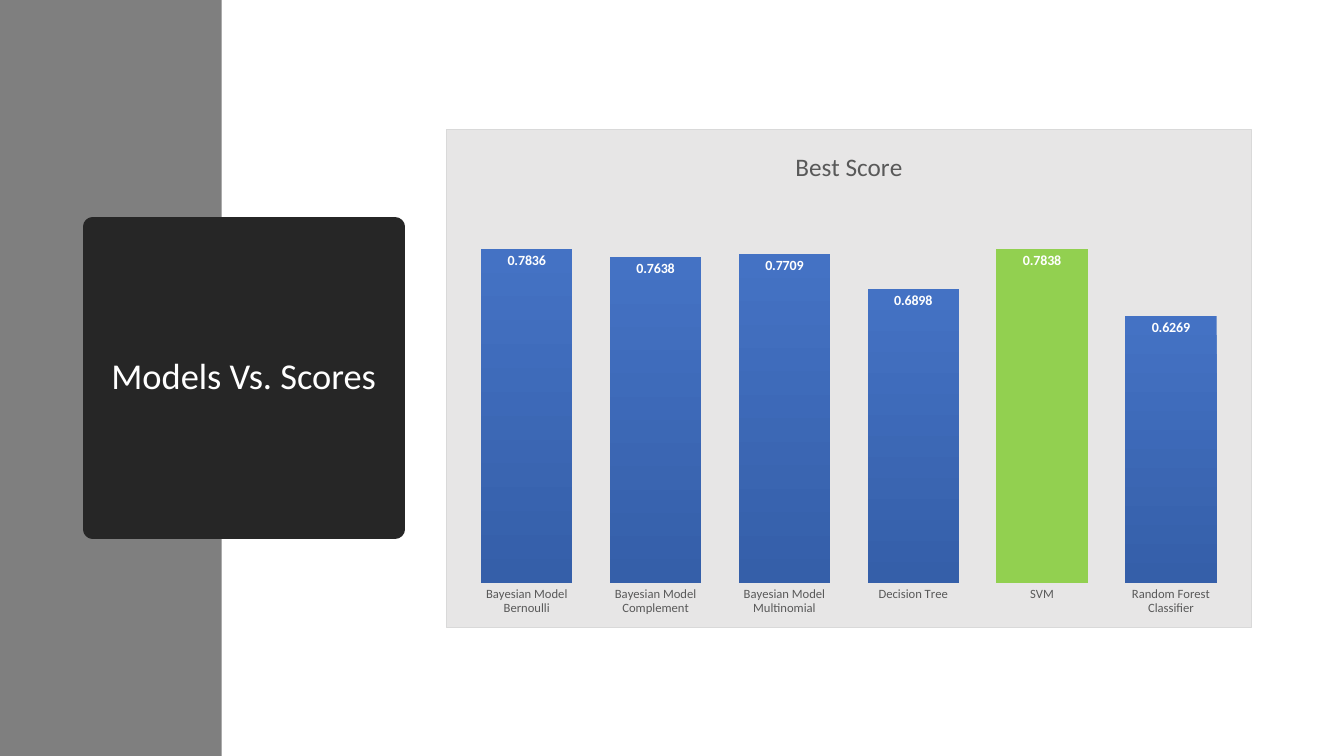
from lxml.etree import SubElement
from pptx import Presentation
from pptx.chart.data import CategoryChartData
from pptx.dml.color import RGBColor
from pptx.enum.chart import XL_CHART_TYPE, XL_LABEL_POSITION, XL_TICK_MARK
from pptx.enum.shapes import MSO_SHAPE
from pptx.enum.text import MSO_ANCHOR, MSO_AUTO_SIZE, PP_ALIGN
from pptx.oxml import parse_xml
from pptx.oxml.ns import nsdecls, qn
from pptx.util import Inches, Pt

WIDTH, HEIGHT = 13.33, 7.5
COLUMN, ROW = WIDTH / 100, HEIGHT / 100

FONT = "Calibri"
WHITE, BLACK = "FFFFFF", "000000"
SIDEBAR_GRAY, TITLE_GRAY, TEXT_GRAY = "7F7F7F", "262626", "595959"
CHART_GRAY, BORDER_GRAY = "E7E6E6", "D9D9D9"
BAR_GRADIENT = ("4472C4", "355FA9")
BEST_GREEN = "92D050"

SCORE_FORMAT = "0.0000"
SCORES = {
    "Bayesian Model\nBernoulli": 0.7836,
    "Bayesian Model\nComplement": 0.7638,
    "Bayesian Model\nMultinomial": 0.7709,
    "Decision Tree": 0.6898,
    "SVM": 0.7838,
    "Random Forest Classifier": 0.6269,
}
MODELS = list(SCORES)
BEST_MODEL = max(SCORES, key=SCORES.get)


def grid(left, top, columns, rows):
    return (Inches(left * COLUMN), Inches(top * ROW),
            Inches(columns * COLUMN), Inches(rows * ROW))


def color(value):
    return RGBColor.from_string(value)


def paint(fill, value):
    fill.solid()
    fill.fore_color.rgb = color(value)


def style_font(font, size, value, bold=False):
    font.name = FONT
    font.size = Pt(size)
    font.bold = bold
    font.color.rgb = color(value)


def write(frame, text, size, value, align=PP_ALIGN.CENTER, spacing=None):
    para = frame.paragraphs[0]
    para.alignment = align
    para.line_spacing = spacing
    span = para.add_run()
    span.text = text
    style_font(span.font, size, value)


def fix_number_format(labels):
    labels.number_format = SCORE_FORMAT
    labels.number_format_is_linked = False


def add_sidebar(page):
    bar = page.shapes.add_shape(MSO_SHAPE.RECTANGLE, *grid(0, 0, 16.5, 100))
    bar.shadow.inherit = False
    paint(bar.fill, SIDEBAR_GRAY)
    bar.line.fill.background()
    page.shapes.title.element.addprevious(bar.element)


def format_title(page, text):
    box = page.shapes.title
    box.left, box.top, box.width, box.height = grid(6.9, 30, 22.5, 40)
    paint(box.fill, TITLE_GRAY)
    box.line.color.rgb = color(TITLE_GRAY)
    box.line.width = Pt(13.75)
    frame = box.text_frame
    frame.word_wrap = True
    frame.auto_size = MSO_AUTO_SIZE.NONE
    frame.vertical_anchor = MSO_ANCHOR.MIDDLE
    write(frame, text, size=26, value=WHITE, spacing=0.9)


def format_axes(chart):
    model_axis = chart.category_axis
    model_axis.major_tick_mark = XL_TICK_MARK.NONE
    model_axis.minor_tick_mark = XL_TICK_MARK.NONE
    model_axis.format.line.fill.background()
    style_font(model_axis.tick_labels.font, 9, TEXT_GRAY)
    score_axis = chart.value_axis
    score_axis.minimum_scale, score_axis.maximum_scale = 0, 0.9
    score_axis.has_major_gridlines = False
    fix_number_format(score_axis.tick_labels)
    score_axis.visible = False


def format_bars(plot):
    plot.gap_width = 41
    plot.vary_by_categories = False
    bars = plot.series[0]
    bars.invert_if_negative = False
    fill = bars.format.fill
    fill.gradient()
    fill.gradient_angle = 270
    for stop, value in zip(fill.gradient_stops, BAR_GRADIENT):
        stop.color.rgb = color(value)
    best_bar = bars.points[MODELS.index(BEST_MODEL)]
    paint(best_bar.format.fill, BEST_GREEN)


def format_labels(labels):
    labels.show_value = True
    labels.position = XL_LABEL_POSITION.INSIDE_END
    fix_number_format(labels)
    style_font(labels.font, 10, WHITE, bold=True)


def format_background(chart, fill, border):
    background = parse_xml(
        f'<c:spPr {nsdecls("c", "a")}>'
        f'<a:solidFill><a:srgbClr val="{fill}"/></a:solidFill>'
        f'<a:ln w="{Pt(0.75)}"><a:solidFill><a:srgbClr val="{border}"/></a:solidFill></a:ln>'
        '</c:spPr>')
    chart.element.find(qn("c:txPr")).addprevious(background)


def place_plot(chart, **shares):
    area = chart.element.find(".//" + qn("c:plotArea"))
    for automatic in area.findall(qn("c:layout")):
        area.remove(automatic)
    layout = parse_xml(f'<c:layout {nsdecls("c")}><c:manualLayout/></c:layout>')
    settings = {"layoutTarget": "inner", "xMode": "edge", "yMode": "edge", **shares}
    for name, value in settings.items():
        SubElement(layout[0], qn(f"c:{name}")).set("val", str(value))
    area.insert(0, layout)


def add_score_chart(page, name):
    data = CategoryChartData(number_format=SCORE_FORMAT)
    data.categories = MODELS
    data.add_series(name, list(SCORES.values()))
    chart = page.shapes.add_chart(
        XL_CHART_TYPE.COLUMN_CLUSTERED, *grid(33.16, 17.07, 60, 66), data).chart
    style_font(chart.font, 10, BLACK)
    chart.has_legend = False
    chart.has_title = True
    chart.chart_title.include_in_layout = False
    write(chart.chart_title.text_frame, name, size=18, value=TEXT_GRAY)
    format_axes(chart)
    format_bars(chart.plots[0])
    format_labels(chart.plots[0].series[0].data_labels)
    format_background(chart, CHART_GRAY, BORDER_GRAY)
    place_plot(chart, x=0.02, y=0.14, w=0.96, h=0.77)


def main():
    deck = Presentation()
    deck.slide_width, deck.slide_height = Inches(WIDTH), Inches(HEIGHT)
    title_only = deck.slide_layouts.get_by_name("Title Only")
    page = deck.slides.add_slide(title_only)
    add_sidebar(page)
    format_title(page, "Models Vs. Scores")
    add_score_chart(page, "Best Score")
    deck.save("out.pptx")


if __name__ == "__main__":
    main()
